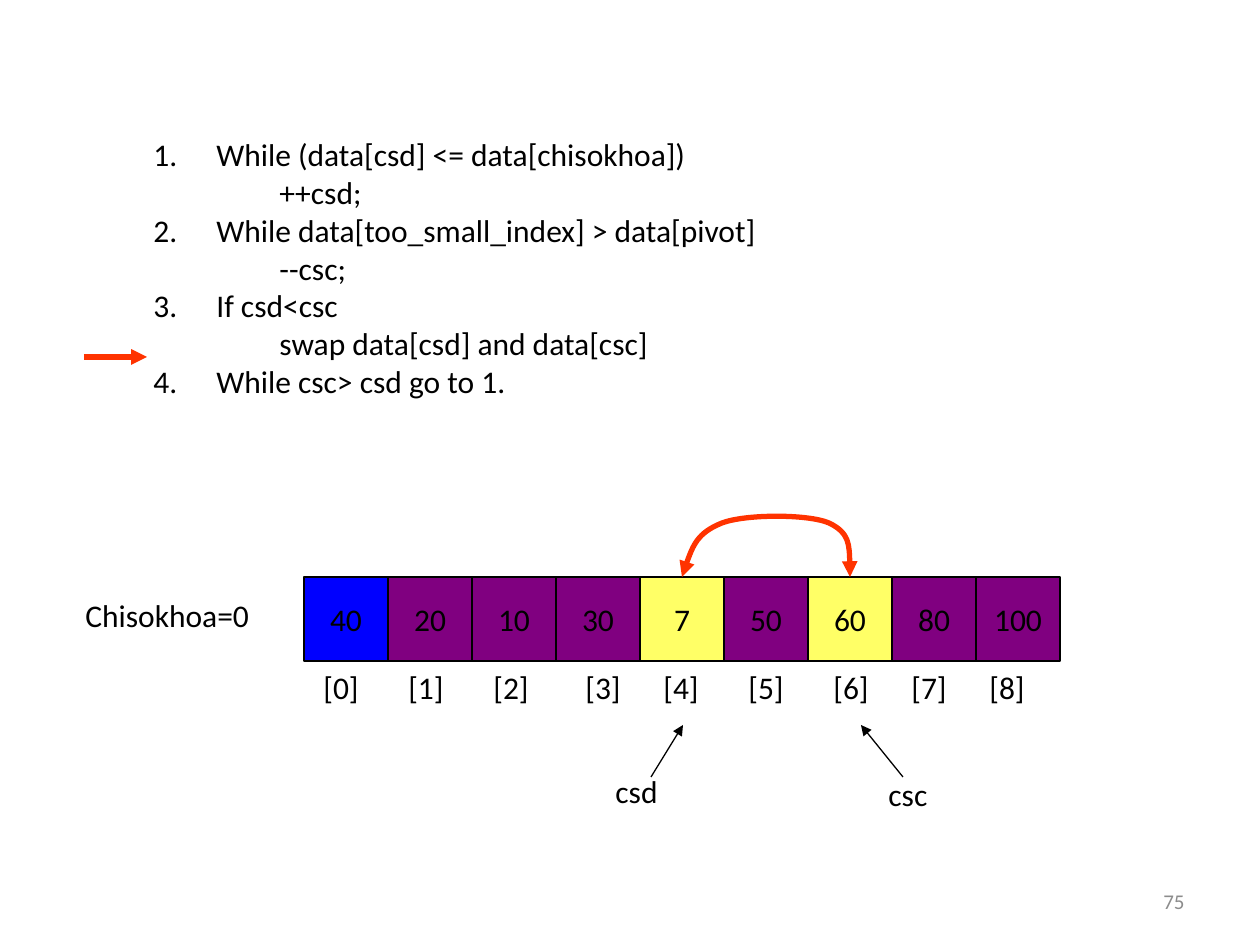
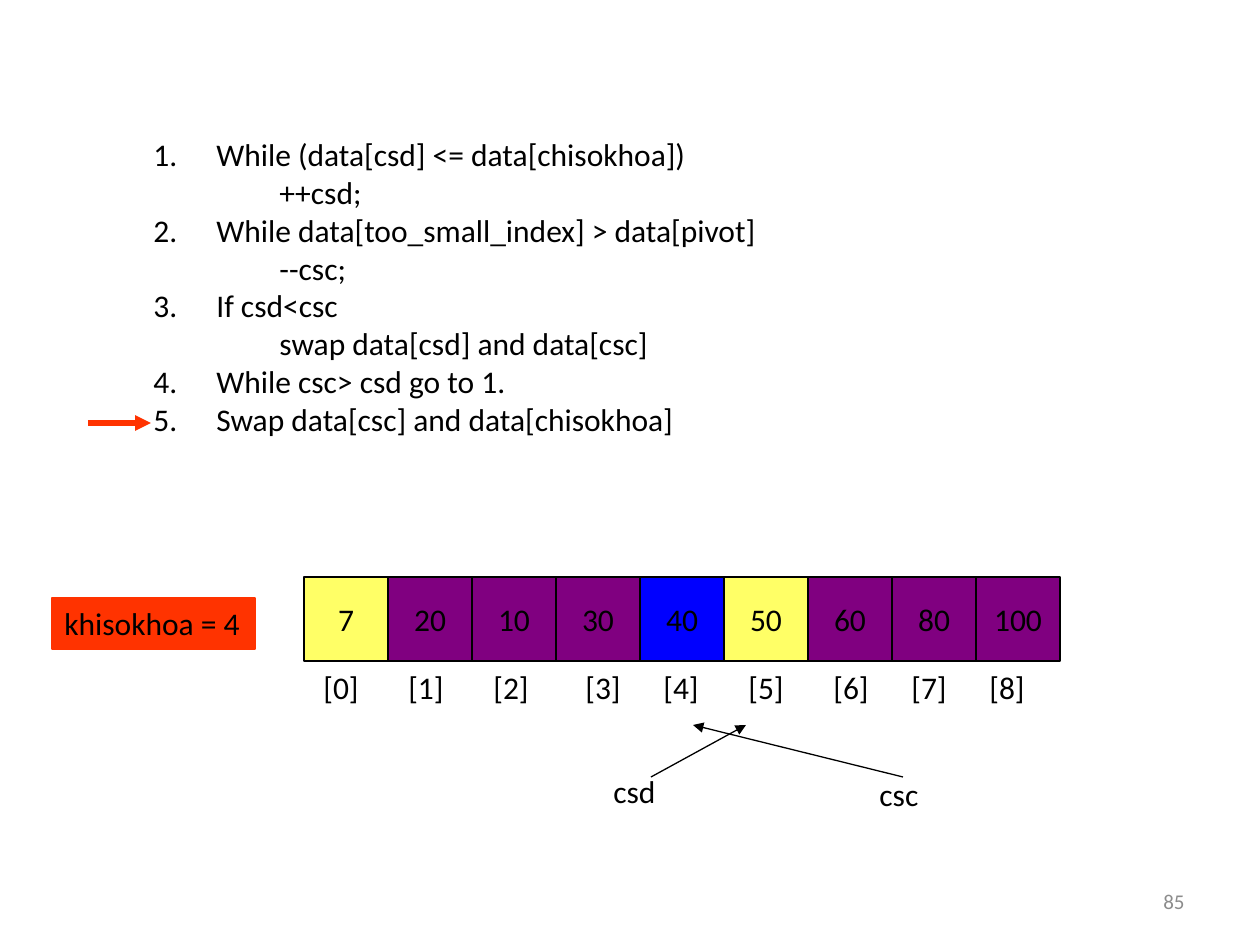
from lxml import etree
from pptx import Presentation
from pptx.dml.color import RGBColor
from pptx.enum.shapes import MSO_CONNECTOR, MSO_SHAPE
from pptx.enum.text import MSO_ANCHOR, PP_ALIGN
from pptx.oxml.ns import qn
from pptx.util import Pt

RECT, STRAIGHT = MSO_SHAPE.RECTANGLE, MSO_CONNECTOR.STRAIGHT
TOP, MIDDLE = MSO_ANCHOR.TOP, MSO_ANCHOR.MIDDLE
LEFT, CENTER, RIGHT = PP_ALIGN.LEFT, PP_ALIGN.CENTER, PP_ALIGN.RIGHT

BLACK = RGBColor(0x00, 0x00, 0x00)
GRAY = RGBColor(0x8C, 0x8C, 0x8C)
BLUE = RGBColor(0x00, 0x00, 0xFF)
PURPLE = RGBColor(0x80, 0x00, 0x80)
YELLOW = RGBColor(0xFF, 0xFF, 0x66)
RED = RGBColor(0xFF, 0x33, 0x00)

FONT = "Calibri"
PX = 914400 / 126
CELL, ARRAY_X, ARRAY_Y = 84, 304, 577
INDENT = 63
INDEX_TABS = [85, 170, 262, 340, 425, 510, 588, 666]

# (numbered step, indented body)
STEPS = [
    ("While (data[csd] <= data[chisokhoa])", "++csd;"),
    ("While data[too_small_index] > data[pivot]", "--csc;"),
    ("If csd<csc", "swap data[csd] and data[csc]"),
    ("While csc> csd go to 1.", None),
]
FINAL_STEP = ("Swap data[csc] and data[chisokhoa]", None)

SLIDES = [
    dict(
        number="75", steps=STEPS, step_arrow=(84, 357),
        values=[40, 20, 10, 30, 7, 50, 60, 80, 100],
        pivot=0, marked=(4, 6), swap=(4, 6),
        label=("Chisokhoa=0", (73, 590, 190, 50), None),
        pointers=[("csd", 603, 766, (651, 777), (683, 725)),
                  ("csc", 876, 769, (903, 777), (861, 725))],
    ),
    dict(
        number="85", steps=STEPS + [FINAL_STEP], step_arrow=(88, 423),
        values=[7, 20, 10, 30, 40, 50, 60, 80, 100],
        pivot=4, marked=(0, 5), swap=None,
        label=("khisokhoa = 4", (52, 598, 203, 51), RED),
        pointers=[("csd", 601, 766, (651, 777), (746, 725)),
                  ("csc", 867, 769, (903, 777), (693, 725))],
    ),
]


def emu(*px):
    return [round(v * PX) for v in px]


def add_child(parent, tag, **attrs):
    return etree.SubElement(parent, qn(tag), {k: str(v) for k, v in attrs.items()})


def format_run(p, text, size=18, color=BLACK, align=LEFT):
    p.alignment = align
    r = p.add_run()
    r.text = text
    r.font.name, r.font.size, r.font.color.rgb = FONT, Pt(size), color


def add_box(s, box, text=None, fill=None, line=None, anchor=TOP, wrap=True, **fmt):
    """Add a text box, or a rectangle when a fill is given."""
    if fill is None:
        sp = s.shapes.add_textbox(*emu(*box))
    else:
        sp = s.shapes.add_shape(RECT, *emu(*box))
        sp.shadow.inherit = False
        sp.fill.solid()
        sp.fill.fore_color.rgb = fill
        sp.line.color.rgb, sp.line.width = line, Pt(0.75)
    tf = sp.text_frame
    tf.word_wrap, tf.vertical_anchor = wrap, anchor
    if text is not None:
        format_run(tf.paragraphs[0], text, **fmt)
    return tf


def style_line(shape, color, width, ends=("a:tailEnd",)):
    shape.line.color.rgb, shape.line.width = color, Pt(width)
    for end in ends:
        add_child(shape.get_or_add_ln(), end, type="triangle")


def add_arrow(s, start, end, color=BLACK, width=0.75):
    c = s.shapes.add_connector(STRAIGHT, *emu(*start, *end))
    style_line(c, color, width)
    add_child(c._element.spPr, "a:effectLst")


def add_steps(s, steps):
    tf = add_box(s, (141, 129, 635, 394), wrap=False)
    lines = [(text, level) for step in steps
             for level, text in enumerate(step) if text]
    for i, (text, level) in enumerate(lines):
        p = tf.add_paragraph() if i else tf.paragraphs[0]
        p.level = level
        pPr = p._p.get_or_add_pPr()
        pPr.set("marL", str(emu(INDENT * (level + 1))[0]))
        pPr.set("indent", str(0 if level else -emu(INDENT)[0]))
        if level:
            add_child(pPr, "a:buNone")
        else:
            add_child(pPr, "a:buFont", typeface="+mj-lt")
            add_child(pPr, "a:buAutoNum", type="arabicPeriod")
        format_run(p, text)


def add_array(s, values, pivot, marked):
    for i, value in enumerate(values):
        fill = BLUE if i == pivot else YELLOW if i in marked else PURPLE
        add_box(s, (ARRAY_X + i * CELL, ARRAY_Y, CELL, CELL), str(value),
                fill=fill, line=BLACK, anchor=MIDDLE, wrap=False, align=CENTER)
    tf = add_box(s, (311, 662, 850, 50))
    p = tf.paragraphs[0]
    tabs = add_child(p._p.get_or_add_pPr(), "a:tabLst")
    for x in INDEX_TABS:
        add_child(tabs, "a:tab", pos=emu(x)[0], algn="l")
    format_run(p, "\t".join(f"[{i}]" for i in range(len(values))))


def add_swap_curve(s, first, second):
    """Draw a double-headed Bézier arc between the tops of two cells."""
    x1, x2 = (ARRAY_X + (i + 0.5) * CELL for i in (first, second))
    y = ARRAY_Y
    points = [(x1 + 7, y - 23), (x1 + 15, y - 44), (x1 + 40, y - 54),
              (x1 + 64, y - 63), (x2 - 42, y - 63), (x2 - 21, y - 54),
              (x2, y - 44), (x2, y - 23), (x2, y)]
    fb = s.shapes.build_freeform(*emu(x1, y))
    fb.add_line_segments([emu(*pt) for pt in points], close=False)
    sp = fb.convert_to_shape()
    segments = list(sp._element.iter(qn("a:lnTo")))
    outline = segments[0].getparent()
    for i in range(0, len(segments), 3):
        curve = add_child(outline, "a:cubicBezTo")
        for segment in segments[i:i + 3]:
            curve.append(segment[0])
            outline.remove(segment)
    sp.shadow.inherit = False
    sp.fill.background()
    style_line(sp, RED, 3, ("a:headEnd", "a:tailEnd"))


def build_slide(prs, d):
    s = prs.slides.add_slide(prs.slide_layouts[6])
    add_steps(s, d["steps"])
    add_array(s, d["values"], d["pivot"], d["marked"])
    text, box, fill = d["label"]
    add_box(s, box, text, fill=fill, line=fill, wrap=False)
    for name, x, y, start, end in d["pointers"]:
        add_box(s, (x, y, 230, 50), name)
        add_arrow(s, start, end)
    x, y = d["step_arrow"]
    add_arrow(s, (x, y), (x + INDENT, y), RED, 3)
    if d["swap"]:
        add_swap_curve(s, *d["swap"])
    add_box(s, (903, 876, 294, 50), d["number"], anchor=MIDDLE,
            size=12, color=GRAY, align=RIGHT)


def main():
    prs = Presentation()
    prs.slide_width, prs.slide_height = emu(1260, 945)
    for d in SLIDES:
        build_slide(prs, d)
    prs.save("out.pptx")


if __name__ == "__main__":
    main()
